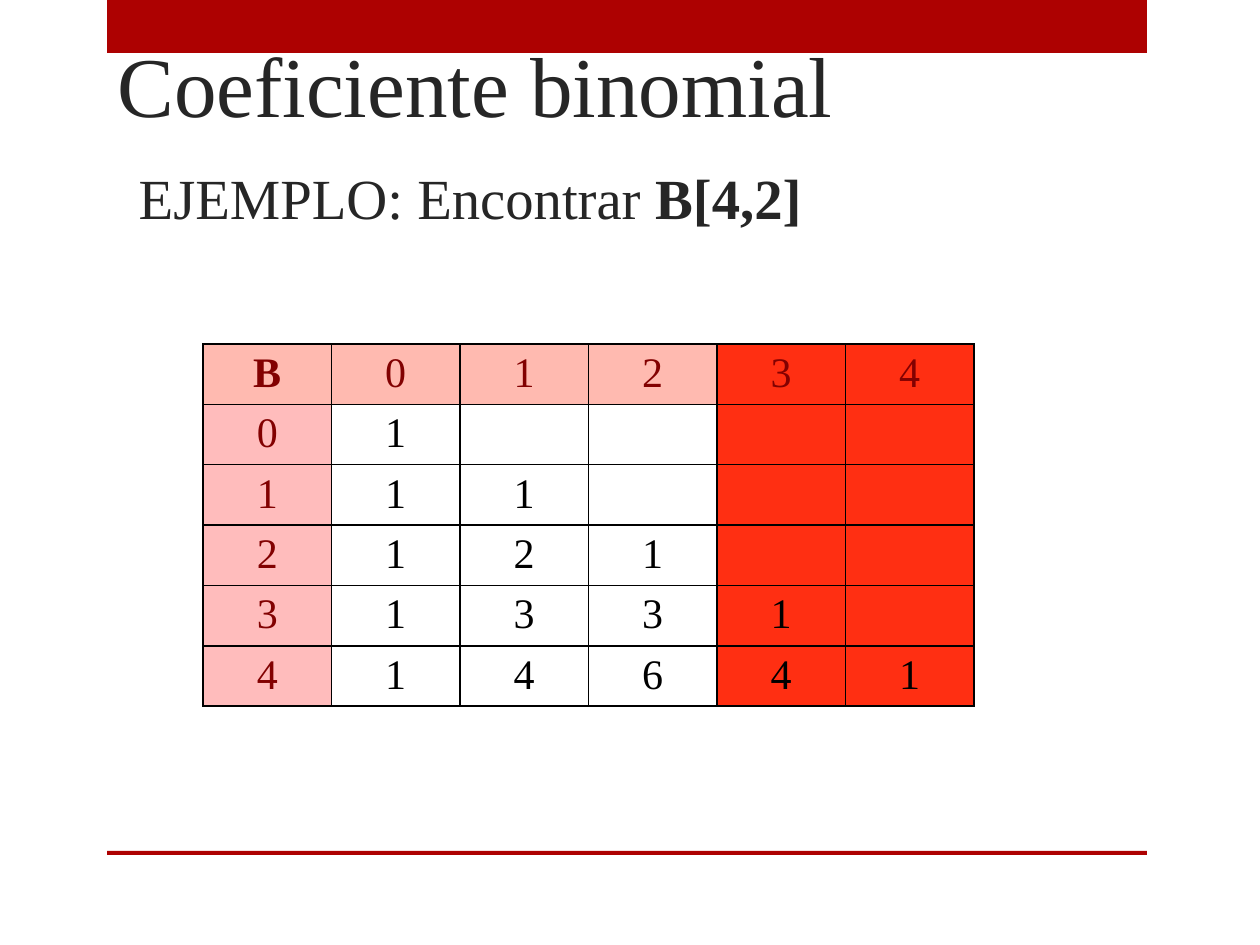
import math
from dataclasses import dataclass

import lxml.etree
import pptx
import pptx.dml.color
import pptx.enum.shapes
import pptx.enum.text
import pptx.oxml
import pptx.oxml.ns
import pptx.util

PX = 914400 // 126
FONT = "Times New Roman"
COLORS = {
    "bar": "AD0101",
    "title": "262626",
    "label": "820101",
    "value": "000000",
    "border": "000000",
    "header": "FFBAB0",
    "side": "FFBCBC",
    "unused": "FF2F12",
}
N, K = 4, 2


@dataclass
class Bar:
    x: int
    y: int
    w: int
    h: int


@dataclass
class Run:
    text: str
    size: float
    color: str
    bold: bool = False


BARS = [Bar(107, 0, 1040, 53), Bar(107, 851, 1040, 4)]


def px(n: int) -> pptx.util.Emu:
    return pptx.util.Emu(n * PX)


def rgb(name: str) -> pptx.dml.color.RGBColor:
    return pptx.dml.color.RGBColor.from_string(COLORS[name])


def add_bar(s, bar: Bar) -> None:
    sp = s.shapes.add_shape(
        pptx.enum.shapes.MSO_SHAPE.RECTANGLE,
        px(bar.x), px(bar.y), px(bar.w), px(bar.h),
    )
    sp.shadow.inherit = False
    sp.fill.solid()
    sp.fill.fore_color.rgb = rgb("bar")
    sp.line.fill.background()


def add_run(p, run: Run) -> None:
    r = p.add_run()
    r.text = run.text
    r.font.name = FONT
    r.font.size = pptx.util.Pt(run.size)
    r.font.bold = run.bold
    r.font.color.rgb = rgb(run.color)


def add_title(s) -> None:
    tf = s.shapes.add_textbox(px(105), px(86), px(968), px(157)).text_frame
    tf.word_wrap = True
    tf.vertical_anchor = pptx.enum.text.MSO_ANCHOR.BOTTOM
    p = tf.paragraphs[0]
    add_run(p, Run("Coeficiente binomial", 48.6, "title"))
    p.add_line_break()
    add_run(p, Run(" ", 48.6, "title"))
    add_run(p, Run("EJEMPLO: Encontrar ", 32.4, "title"))
    add_run(p, Run(f"B[{N},{K}]", 32.4, "title", True))


def add_borders(cell) -> None:
    tc_pr = cell._tc.get_or_add_tcPr()
    for side in ("lnL", "lnR", "lnT", "lnB"):
        ln = lxml.etree.SubElement(tc_pr, pptx.oxml.ns.qn(f"a:{side}"), w="12700")
        fill = lxml.etree.SubElement(ln, pptx.oxml.ns.qn("a:solidFill"))
        lxml.etree.SubElement(fill, pptx.oxml.ns.qn("a:srgbClr"), val=COLORS["border"])


def cell_text(row: int, col: int) -> str:
    if row == 0:
        return str(col - 1) if col else "B"
    if col == 0:
        return str(row - 1)
    return str(math.comb(row - 1, col - 1)) if col <= row else ""


def cell_fill(row: int, col: int) -> str:
    if col > K + 1:
        return "unused"
    if row == 0:
        return "header"
    return "side" if col == 0 else ""


def fill_cell(cell, row: int, col: int) -> None:
    cell.margin_top, cell.margin_bottom = px(6), px(4)
    add_borders(cell)
    fill = cell_fill(row, col)
    if fill:
        cell.fill.solid()
        cell.fill.fore_color.rgb = rgb(fill)
    else:
        cell.fill.background()
    text = cell_text(row, col)
    if text:
        p = cell.text_frame.paragraphs[0]
        p.alignment = pptx.enum.text.PP_ALIGN.CENTER
        color = "value" if row and col else "label"
        add_run(p, Run(text, 24, color, text == "B"))


def add_coefficients(s) -> None:
    size = N + 2
    table = s.shapes.add_table(size, size, px(203), px(344), px(771), px(59 * size)).table
    table.first_row = False
    table.horz_banding = False
    for row in range(size):
        for col in range(size):
            fill_cell(table.cell(row, col), row, col)


prs = pptx.Presentation()
prs.slide_width, prs.slide_height = px(1260), px(945)
s = prs.slides.add_slide(prs.slide_layouts[6])
for bar in BARS:
    add_bar(s, bar)
add_title(s)
add_coefficients(s)
prs.save("out.pptx")
